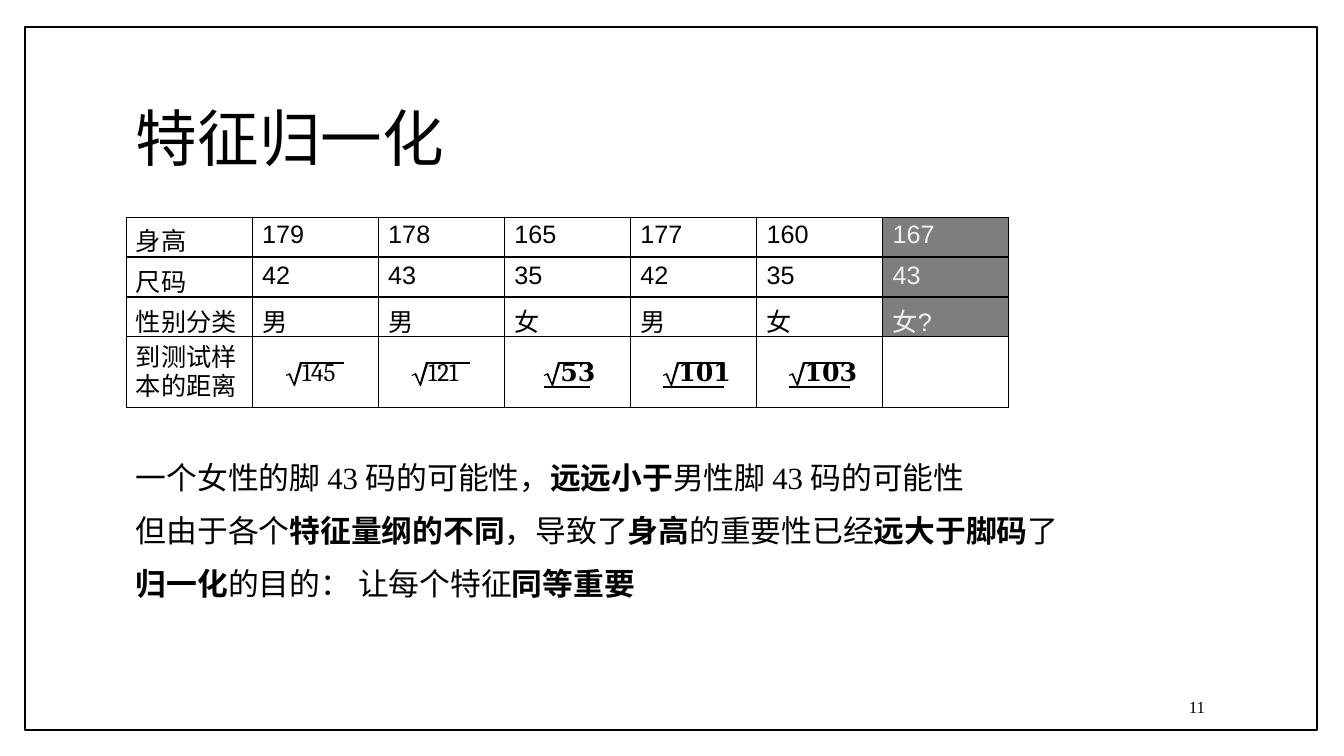
from typing import NamedTuple

from lxml import etree
from pptx import Presentation
from pptx import util as u
from pptx.dml.color import RGBColor
from pptx.enum import shapes
from pptx.oxml.ns import qn

HAN, SERIF, SANS, MATH = "Noto Sans CJK SC", "Times New Roman", "Arial", "Cambria"
BLACK, GREY, PALE = "000000", "7E7E7E", "F1F1F1"
EMU_PER_PX = 914400 / 100.8


class Run(NamedTuple):
    text: str
    bold: bool = False
    latin: str = HAN


class TableRow(NamedTuple):
    values: tuple[str, ...]
    height: int
    top_inset: int
    space_before: float


class Root(NamedTuple):
    left: int
    width: int
    underlined: bool


def px(length: float) -> u.Emu:
    return u.Emu(round(length * EMU_PER_PX))


def color(value: str) -> RGBColor:
    return RGBColor.from_string(value)


def set_font(font, size: float, latin: str, shade: str = BLACK) -> None:
    font.size = u.Pt(size)
    font.color.rgb = color(shade)
    font.name = latin
    etree.SubElement(font._element, qn("a:ea")).set("typeface", HAN)


def indent(paragraph, left: int, space_before: float = 0) -> None:
    paragraph._p.get_or_add_pPr().set("marL", str(px(left)))
    paragraph._p.get_or_add_pPr().set("indent", "0")
    paragraph.space_before = u.Pt(space_before)


def add_text_frame(slide, left: int, top: int, width: int, height: int, top_inset: int = 0):
    frame = slide.shapes.add_textbox(px(left), px(top), px(width), px(height)).text_frame
    frame.word_wrap = True
    frame.margin_left = frame.margin_right = frame.margin_bottom = 0
    frame.margin_top = px(top_inset)
    return frame


def add_border(cell, side: str, points: float) -> None:
    line = etree.SubElement(cell._tc.get_or_add_tcPr(), qn(f"a:{side}"), w=str(u.Pt(points)))
    fill = etree.SubElement(line, qn("a:solidFill"))
    etree.SubElement(fill, qn("a:srgbClr"), val=BLACK)


def add_root(slide, root: Root) -> None:
    end = root.width
    outline = [(4, 11), (5, 13), (8, 21), (14, 0), (end, 0), (end, 2), (16, 2),
               (10, 21), (9, 24), (8, 24), (3, 13), (0, 14)]
    builder = slide.shapes.build_freeform(0, 13, scale=EMU_PER_PX)
    builder.add_line_segments(outline, close=True)
    sign = builder.convert_to_shape(px(root.left), px(ROOT_TOP))
    sign.shadow.inherit = False
    sign.fill.solid()
    sign.fill.fore_color.rgb = color(BLACK)
    sign.line.fill.background()
    if root.underlined:
        y = px(ROOT_TOP + 25)
        rule = slide.shapes.add_connector(
            shapes.MSO_CONNECTOR.STRAIGHT, px(root.left), y, px(root.left + end), y)
        rule.line.color.rgb = color(BLACK)
        rule.line.width = u.Pt(0.96)
        etree.SubElement(rule._element.spPr, qn("a:effectLst"))


# Content
ROOT_TOP = 362
ROOTS = [Root(286, 58, False), Root(412, 58, False), Root(544, 46, True),
         Root(663, 61, True), Root(789, 61, True)]
ROWS = [
    TableRow(("身高", "179", "178", "165", "177", "160", "167"), 40, 4, 3),
    TableRow(("尺码", "42", "43", "35", "42", "35", "43"), 40, 5, 3.2),
    TableRow(("性别分类", "男", "男", "女", "男", "女", "女?"), 40, 5, 3.4),
    TableRow(("到测试样 本的距离", "145", "121", "𝟓𝟑", "𝟏𝟎𝟏", "𝟏𝟎𝟑", ""), 71, 22, 15.4),
]
DISTANCE_INDENTS = [10, 50, 50, 56, 48, 48, 0]
COLUMN_WIDTH = 126.15
CONCLUSIONS = [
    [Run("一个女性的脚 "), Run("43 ", latin=SERIF), Run("码的可能性，"),
     Run("远远小于", True), Run("男性脚 "), Run("43 ", latin=SERIF), Run("码的可能性")],
    [Run("但由于各个"), Run("特征量纲的不同", True), Run("，导致了"), Run("身高", True),
     Run("的重要性已经"), Run("远大于脚码", True), Run("了 "), Run("归一化", True),
     Run("的目的： 让每个特征"), Run("同等重要", True)],
]

deck = Presentation()
deck.slide_width, deck.slide_height = px(1344), px(756)
slide = deck.slides.add_slide(deck.slide_layouts[6])

# Page frame
page_frame = slide.shapes.add_shape(
    shapes.MSO_SHAPE.RECTANGLE, px(25), px(27), px(1292), px(703))
page_frame.shadow.inherit = False
page_frame.fill.background()
page_frame.line.color.rgb = color(BLACK)
page_frame.line.width = u.Pt(0.96)

# Title
title = add_text_frame(slide, 135, 99, 312, 77, 1).paragraphs[0]
title.text = "特征归一化"
indent(title, 1, 1.1)
set_font(title.font, 44, HAN)

# Conclusions
conclusions = add_text_frame(slide, 135, 442, 929, 161, 17)
for number, runs in enumerate(CONCLUSIONS):
    conclusion = conclusions.add_paragraph() if number else conclusions.paragraphs[0]
    indent(conclusion, 1, 0.1 if number else 12.4)
    if number:
        conclusion.line_spacing = 1.43
    for part in runs:
        run = conclusion.add_run()
        run.text = part.text
        run.font.bold = part.bold
        set_font(run.font, 22, part.latin)

# Square root signs
for root in ROOTS:
    add_root(slide, root)

# Feature table
last_row, last_column = len(ROWS) - 1, len(ROWS[0].values) - 1
features = slide.shapes.add_table(
    len(ROWS), last_column + 1, px(126), px(217), px(COLUMN_WIDTH * (last_column + 1)),
    px(sum(row.height for row in ROWS))).table
features.first_row = features.horz_banding = False
for column in features.columns:
    column.width = px(COLUMN_WIDTH)
for r, row in enumerate(ROWS):
    features.rows[r].height = px(row.height)
    for c, value in enumerate(row.values):
        cell = features.cell(r, c)
        is_distance = r == last_row
        is_test_sample = c == last_column and not is_distance
        is_distance_label = is_distance and c == 0
        cell.margin_left = cell.margin_right = cell.margin_bottom = 0
        cell.margin_top = px(8 if is_distance_label else row.top_inset)
        entry = cell.text_frame.paragraphs[0]
        entry.text = value
        indent(entry, DISTANCE_INDENTS[c] if is_distance else 10,
               5.9 if is_distance_label else row.space_before)
        if is_distance_label:
            entry.line_spacing = u.Pt(20.6)
        set_font(entry.font, 18, MATH if is_distance else SANS,
                 PALE if is_test_sample else BLACK)
        for side, is_outer in (("lnL", c == 0), ("lnR", c == last_column),
                               ("lnT", r == 0), ("lnB", is_distance)):
            add_border(cell, side, 0.75 if is_outer else 1)
        if is_test_sample:
            cell.fill.solid()
            cell.fill.fore_color.rgb = color(GREY)
        else:
            cell.fill.background()

# Page number
page_number = add_text_frame(slide, 1186, 697, 24, 21).paragraphs[0]
page_number.text = "11"
indent(page_number, 3)
page_number.line_spacing = u.Pt(14.1)
set_font(page_number.font, 12, SERIF)

deck.save("out.pptx")
